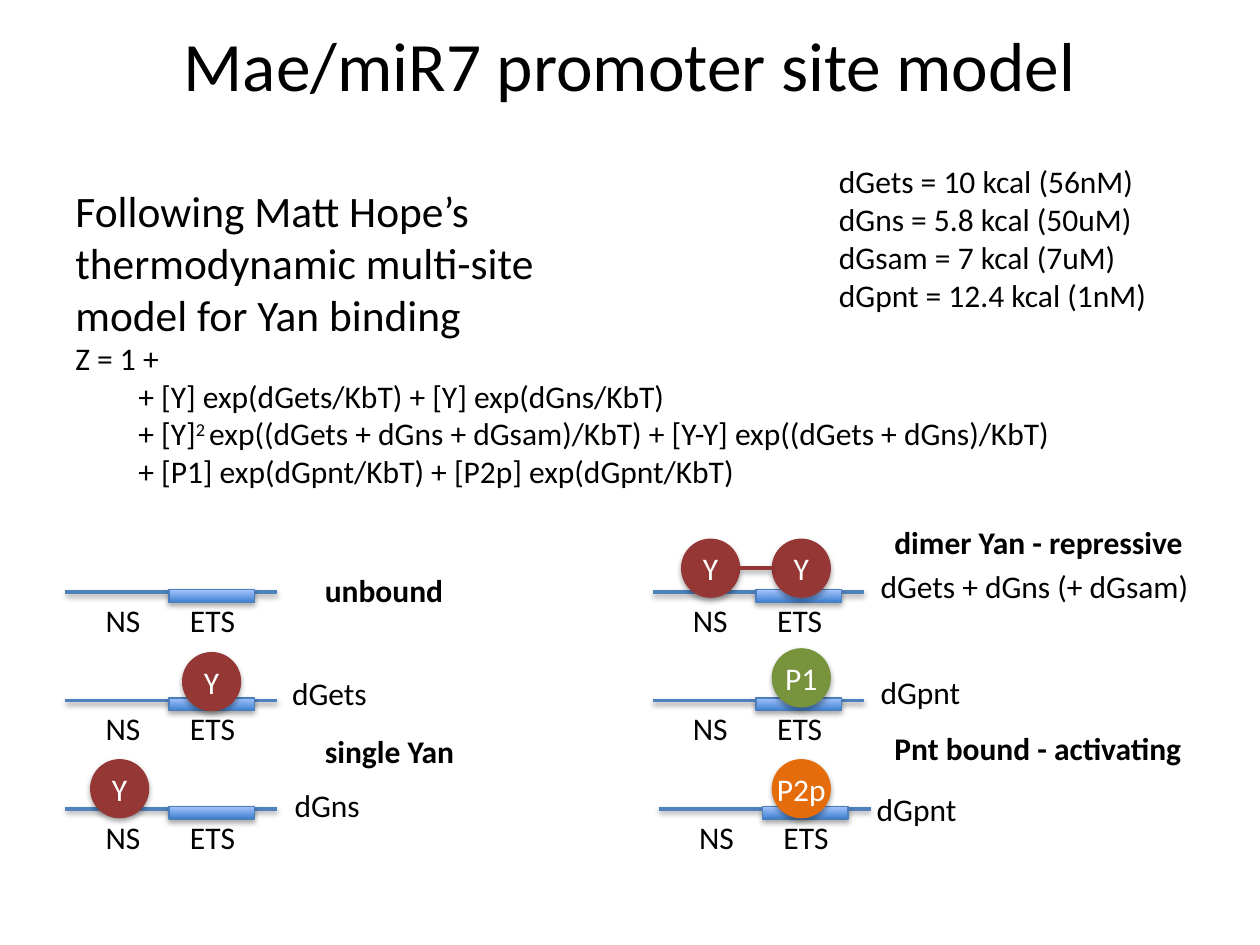
"""Build the slide on the Mae/miR7 promoter site model."""
from pptx import Presentation
from pptx.dml.color import RGBColor
from pptx.enum.shapes import MSO_CONNECTOR, MSO_SHAPE
from pptx.enum.text import MSO_ANCHOR, MSO_AUTO_SIZE, PP_ALIGN
from pptx.util import Inches, Pt

STRAIGHT = MSO_CONNECTOR.STRAIGHT
RECTANGLE, OVAL = MSO_SHAPE.RECTANGLE, MSO_SHAPE.OVAL
MIDDLE, CENTER = MSO_ANCHOR.MIDDLE, PP_ALIGN.CENTER
NO_FIT, GROW = MSO_AUTO_SIZE.NONE, MSO_AUTO_SIZE.SHAPE_TO_FIT_TEXT
FONT = "Calibri"
COLORS = {
    "text": "000000", "light": "FFFFFF", "dna": "4F81BD", "site_line": "4B7EBC",
    "site_dark": "3F80CE", "site_pale": "A4C4FF",
    "yan": "953735", "p1": "77933C", "p2p": "E46C0A",
}
RGB = {name: RGBColor.from_string(value) for name, value in COLORS.items()}


def add_text(shapes, box, lines, size=18, bold=None, wrap=False, fit=GROW):
    """Add a text box with one run per line and return its text frame."""
    text_frame = shapes.add_textbox(*map(Inches, box)).text_frame
    text_frame.word_wrap = wrap
    text_frame.auto_size = fit
    for index, line in enumerate(lines):
        paragraph = text_frame.add_paragraph() if index else text_frame.paragraphs[0]
        paragraph.font.size = Pt(size)
        paragraph.font.name = FONT
        paragraph.font.bold = bold
        paragraph.font.color.rgb = RGB["text"]
        for part in line if isinstance(line, tuple) else (line,):
            run = paragraph.add_run()
            run.text = part
            run.font.size = Pt(size)
            run.font.name = FONT
            run.font.bold = bold
            run.font.color.rgb = RGB["text"]
    return text_frame


def add_line(shapes, left, right, y, color):
    """Add a horizontal line that keeps the soft shadow of the theme."""
    line = shapes.add_connector(STRAIGHT, Inches(left), Inches(y), Inches(right), Inches(y))
    line.line.color.rgb = RGB[color]
    line.line.width = Pt(2)


presentation = Presentation()
presentation.slide_width = Inches(10)
presentation.slide_height = Inches(7.5)
slide = presentation.slides.add_slide(presentation.slide_layouts[5])

title = slide.shapes.title
title.left, title.top, title.width, title.height = map(Inches, (0.5, 0.16, 9, 0.69))
title.text_frame.vertical_anchor = MIDDLE
title.text_frame.auto_size = NO_FIT
title_paragraph = title.text_frame.paragraphs[0]
title_paragraph.alignment = CENTER
title_run = title_paragraph.add_run()
title_run.text = "Mae/miR7 promoter site model"
title_run.font.size = Pt(39.6)
title_run.font.name = FONT
title_run.font.color.rgb = RGB["text"]

add_text(slide.shapes, (0.5, 1.41, 4.29, 1.16),
         ["Following Matt Hope’s thermodynamic multi-site model for Yan binding"],
         size=24.8, wrap=True, fit=NO_FIT)

equation = add_text(slide.shapes, (0.5, 2.64, 8.66, 1.62), [
    "Z = 1 +",
    "+ [Y] exp(dGets/KbT) + [Y] exp(dGns/KbT)",
    ("+ [Y]", "2 ", "exp((dGets + dGns + dGsam)/KbT) + [Y-Y] exp((dGets + dGns)/KbT)"),
    "+ [P1] exp(dGpnt/KbT) + [P2p] exp(dGpnt/KbT)",
], wrap=True)
for term in equation.paragraphs[1:]:
    term.level = 1
    term._p.get_or_add_pPr().set("marL", str(Inches(0.5)))
exponent = equation.paragraphs[2].runs[1]
exponent._r.get_or_add_rPr().set("baseline", "30000")

promoters = [(0.52, 4.7), (0.52, 5.56), (0.52, 6.42),
             (5.18, 4.7), (5.18, 5.56), (5.23, 6.42)]
for left, y in promoters:
    promoter = slide.shapes.add_group_shape().shapes
    add_line(promoter, left, left + 1.68, y, "dna")
    site = promoter.add_shape(RECTANGLE, Inches(left + 0.82), Inches(y - 0.02),
                              Inches(0.68), Inches(0.1))
    site.fill.gradient()
    site.fill.gradient_angle = 90
    for stop, color in zip(site.fill.gradient_stops, ("site_dark", "site_pale")):
        stop.color.rgb = RGB[color]
    site.line.color.rgb = RGB["site_line"]
    site.line.width = Pt(0.75)
    add_text(promoter, (left + 0.89, y + 0.02, 0.57, 0.4), ["ETS"])
    add_text(promoter, (left + 0.22, y + 0.02, 0.48, 0.4), ["NS"])

proteins = [
    (1.45, 5.18, "Y", "yan"), (0.72, 6.03, "Y", "yan"),
    (6.13, 4.28, "Y", "yan"), (5.41, 4.28, "Y", "yan"),
    (6.13, 5.15, "P1", "p1"), (6.13, 6.03, "P2p", "p2p"),
]
for left, top, name, color in proteins:
    protein = slide.shapes.add_shape(OVAL, Inches(left), Inches(top),
                                     Inches(0.46), Inches(0.46))
    protein.fill.solid()
    protein.fill.fore_color.rgb = RGB[color]
    protein.line.color.rgb = RGB[color]
    protein.line.width = Pt(0.75)
    protein.text_frame.word_wrap = False
    protein.text_frame.vertical_anchor = MIDDLE
    paragraph = protein.text_frame.paragraphs[0]
    paragraph.alignment = CENTER
    run = paragraph.add_run()
    run.text = name
    run.font.size = Pt(18)
    run.font.name = FONT
    run.font.color.rgb = RGB["light"]
add_line(slide.shapes, 5.87, 6.13, 4.51, "yan")

states = [
    (2.48, 4.48, 1.15, "unbound"),
    (2.48, 5.76, 1.26, "single Yan"),
    (7, 4.1, 2.54, "dimer Yan - repressive"),
    (7, 5.74, 2.52, "Pnt bound - activating"),
]
energies = [
    (2.22, 5.3, 0.81, "dGets"),
    (2.24, 6.19, 0.73, "dGns"),
    (6.89, 4.45, 2.67, "dGets + dGns (+ dGsam)"),
    (6.89, 5.29, 0.85, "dGpnt"),
    (6.86, 6.22, 0.85, "dGpnt"),
]
for labels, bold in ((states, True), (energies, None)):
    for left, top, width, label in labels:
        add_text(slide.shapes, (left, top, width, 0.4), [label], bold=bold)

add_text(slide.shapes, (6.56, 1.24, 2.72, 1.62), [
    "dGets = 10 kcal (56nM)",
    "dGns = 5.8 kcal (50uM)",
    "dGsam = 7 kcal (7uM)",
    "dGpnt = 12.4 kcal (1nM)",
])

presentation.save("out.pptx")
